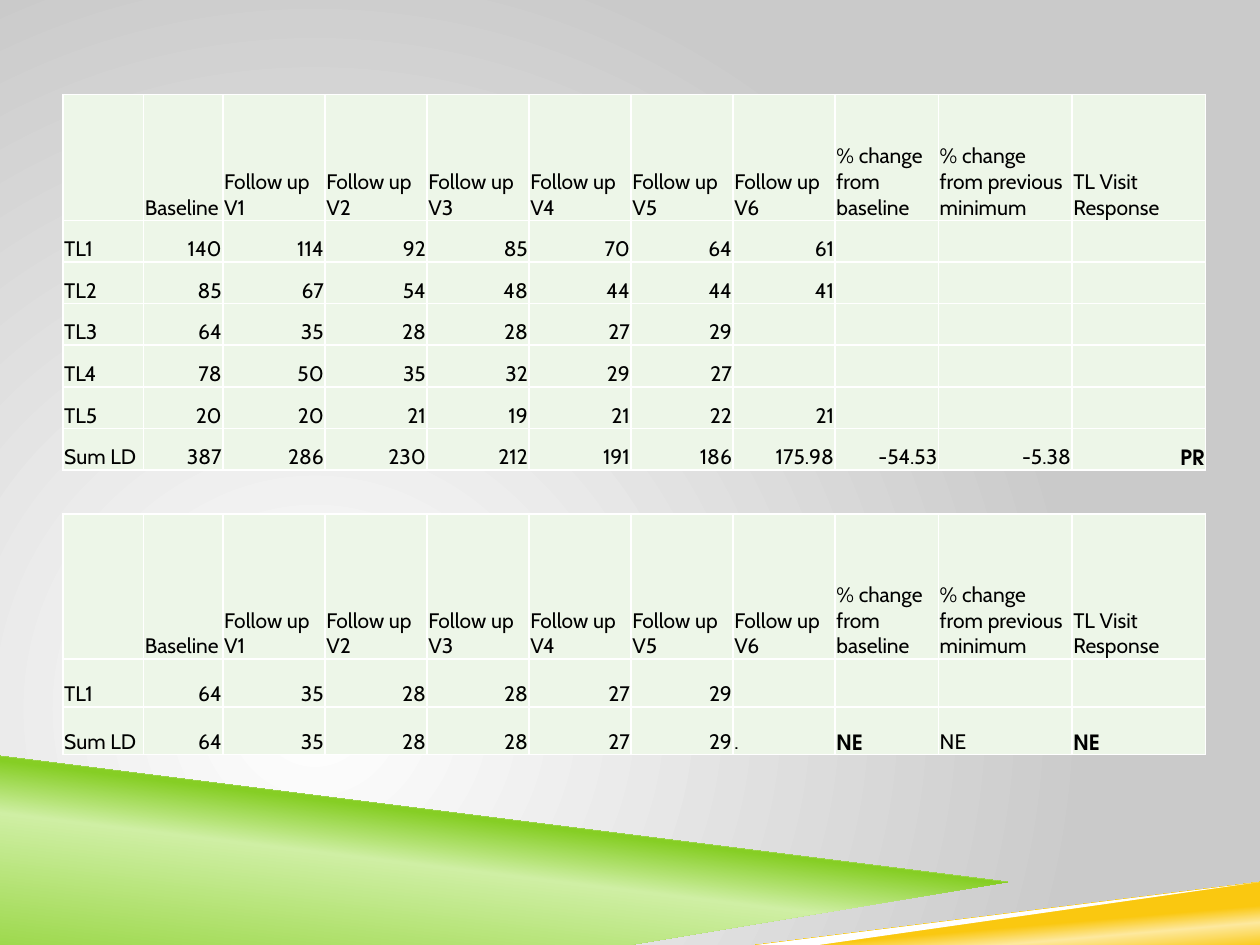
from dataclasses import dataclass

import pptx
import pptx.dml.color
import pptx.enum.text
import pptx.oxml
import pptx.oxml.ns
import pptx.util
from pptx.dml.color import RGBColor
from pptx.util import Inches

WHITE = RGBColor(0xFF, 0xFF, 0xFF)
BLACK = RGBColor(0x00, 0x00, 0x00)
GREY = RGBColor(0xCA, 0xCA, 0xCA)
GREEN = RGBColor(0x86, 0xCE, 0x24)
PALE_GREEN = RGBColor(0xCF, 0xEF, 0xA4)
GOLD = RGBColor(0xFA, 0xC8, 0x10)
PALE_GOLD = RGBColor(0xFD, 0xE9, 0x9F)
CELL_GREEN = RGBColor(0xED, 0xF6, 0xE8)

BODY_FONT = "Cabin"
BOLD_FONT = "TeX Gyre Adventor"
COLUMN_WIDTHS = [0.64, 0.63] + [0.81] * 6 + [0.82, 1.06, 1.06]
HEADER = (
    ["", "Baseline"]
    + [f"Follow up V{visit}" for visit in range(1, 7)]
    + ["% change from baseline", "% change from previous minimum", "TL Visit Response"]
)
LEFT_ALIGNED = {"NE", "."}
BOLD_CELLS = {("PR", 10), ("NE", 8), ("NE", 10)}

Stops = list[tuple[int, RGBColor]]


@dataclass
class Band:
    points: list[tuple[float, float]]
    stops: Stops
    angle: int = 0


@dataclass
class LesionTable:
    top: float
    header_height: float
    row_height: float
    rows: list[list[str]]


BANDS = [
    Band([(0, 5.97), (7.92, 6.92), (2, 7.5), (0, 7.5)],
         [(0, GREEN), (52, PALE_GREEN), (66, GREEN)], 277),
    Band([(1.98, 7.5), (10, 6.72), (10, 7.5)],
         [(28, GOLD), (40, PALE_GOLD), (48, GOLD)], 265),
    Band([(0, 5.92), (0, 6), (7.9, 6.93), (8.32, 6.9)], [(0, WHITE)]),
    Band([(10, 6.69), (1.84, 7.5), (2.66, 7.5), (10, 6.77)], [(0, WHITE)]),
]

TABLES = [
    LesionTable(0.75, 1, 0.33, [
        ["TL1", "140", "114", "92", "85", "70", "64", "61"],
        ["TL2", "85", "67", "54", "48", "44", "44", "41"],
        ["TL3", "64", "35", "28", "28", "27", "29"],
        ["TL4", "78", "50", "35", "32", "29", "27"],
        ["TL5", "20", "20", "21", "19", "21", "22", "21"],
        ["Sum LD", "387", "286", "230", "212", "191", "186", "175.98",
         "-54.53", "-5.38", "PR"],
    ]),
    LesionTable(4.08, 1.15, 0.38, [
        ["TL1", "64", "35", "28", "28", "27", "29"],
        ["Sum LD", "64", "35", "28", "28", "27", "29", ".", "NE", "NE", "NE"],
    ]),
]


def set_gradient(owner, fill, stops: Stops, direction: str) -> None:
    """Give a fill any number of stops, with its direction as DrawingML."""
    fill.gradient()
    gradient = next(owner.iter(pptx.oxml.ns.qn("a:gradFill")))
    for child in list(gradient):
        gradient.remove(child)
    marks = "".join(
        f'<a:gs pos="{position * 1000}"><a:srgbClr val="{color}"/></a:gs>'
        for position, color in stops
    )
    namespace = pptx.oxml.ns.nsdecls("a")
    holder = pptx.oxml.parse_xml(
        f"<a:gradFill {namespace}><a:gsLst>{marks}</a:gsLst>{direction}</a:gradFill>"
    )
    gradient.extend(list(holder))


def draw_background(page) -> None:
    direction = (
        '<a:path path="circle">'
        '<a:fillToRect l="50000" t="100000" r="100000" b="50000"/></a:path>'
    )
    fill = page.background.fill
    set_gradient(page.element, fill, [(0, WHITE), (100, GREY)], direction)


def draw_band(page, band: Band) -> None:
    start, *others = band.points
    builder = page.shapes.build_freeform(*start, scale=Inches(1))
    builder.add_line_segments(others, close=True)
    shape = builder.convert_to_shape()
    shape.shadow.inherit = False
    shape.line.fill.background()
    if len(band.stops) == 1:
        shape.fill.solid()
        shape.fill.fore_color.rgb = band.stops[0][1]
    else:
        direction = f'<a:lin ang="{band.angle * 60000}" scaled="0"/>'
        set_gradient(shape.element, shape.fill, band.stops, direction)


def add_borders(cell) -> None:
    properties = cell._tc.get_or_add_tcPr()
    for index, side in enumerate(("lnL", "lnR", "lnT", "lnB")):
        properties.insert(index, pptx.oxml.parse_xml(
            f'<a:{side} {pptx.oxml.ns.nsdecls("a")} w="12700">'
            f'<a:solidFill><a:srgbClr val="{WHITE}"/></a:solidFill></a:{side}>'
        ))


def fill_cell(cell, text: str, column: int, is_header: bool) -> None:
    cell.fill.solid()
    cell.fill.fore_color.rgb = CELL_GREEN
    add_borders(cell)
    cell.vertical_anchor = pptx.enum.text.MSO_ANCHOR.BOTTOM
    cell.margin_left = cell.margin_right = cell.margin_top = Inches(0.01)
    cell.margin_bottom = 0
    para = cell.text_frame.paragraphs[0]
    if text:
        para.text = text
    if column > 0 and not is_header and text not in LEFT_ALIGNED:
        para.alignment = pptx.enum.text.PP_ALIGN.RIGHT
    bold = (text, column) in BOLD_CELLS
    para.font.name = BOLD_FONT if bold else BODY_FONT
    para.font.bold = bold
    para.font.size = pptx.util.Pt(12)
    para.font.color.rgb = BLACK


def draw_table(page, lesions: LesionTable) -> None:
    rows = [HEADER] + lesions.rows
    heights = [lesions.header_height] + [lesions.row_height] * len(lesions.rows)
    table = page.shapes.add_table(
        len(rows), len(HEADER), Inches(0.5), Inches(lesions.top),
        Inches(sum(COLUMN_WIDTHS)), Inches(sum(heights)),
    ).table
    table.first_row = table.horz_banding = False
    for column, width in zip(table.columns, COLUMN_WIDTHS):
        column.width = Inches(width)
    for row_index, (row, height) in enumerate(zip(rows, heights)):
        table.rows[row_index].height = Inches(height)
        padded = row + [""] * (len(HEADER) - len(row))
        for column_index, text in enumerate(padded):
            cell = table.cell(row_index, column_index)
            fill_cell(cell, text, column_index, row_index == 0)


def main() -> None:
    deck = pptx.Presentation()
    deck.slide_width, deck.slide_height = Inches(10), Inches(7.5)
    page = deck.slides.add_slide(deck.slide_layouts[6])
    draw_background(page)
    for band in BANDS:
        draw_band(page, band)
    for lesions in TABLES:
        draw_table(page, lesions)
    deck.save("out.pptx")


if __name__ == "__main__":
    main()
